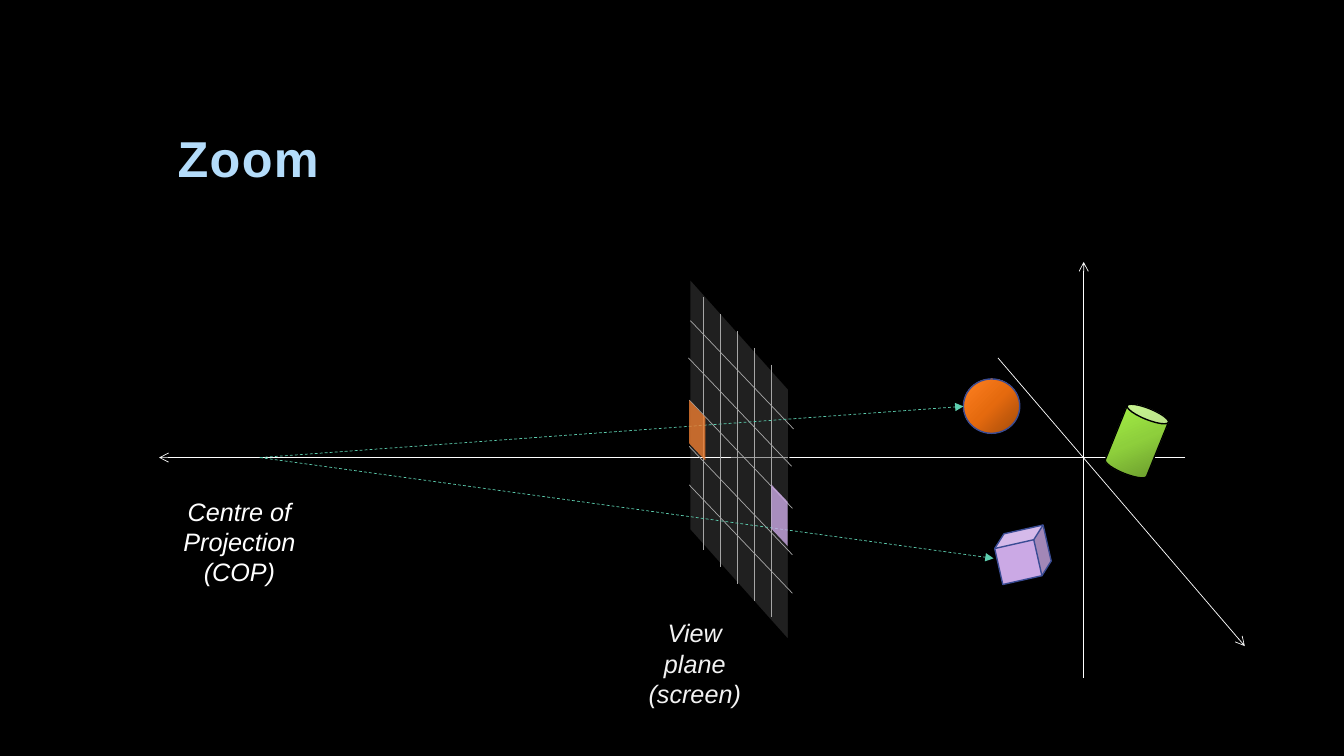
import copy
from dataclasses import dataclass
from typing import Optional

import lxml.etree
import pptx
import pptx.dml.color
import pptx.enum.dml
import pptx.enum.shapes
import pptx.enum.text
import pptx.oxml.ns
import pptx.util

Cm = pptx.util.Cm
Pt = pptx.util.Pt
qn = pptx.oxml.ns.qn
Kind = pptx.enum.shapes.MSO_SHAPE
Point = tuple[float, float]
Box = tuple[float, float, float, float]

COLORS = {
    "back": "000000", "title": "B4DCFA", "axis": "FFFFFF", "grid": "A6A6A6",
    "ray": "5DCEAF", "label": "F2F2F2", "edge": "3A4C94", "plane": "404040",
    "orange": "ED7D31", "purple": "CBA9E5",
    "ball1": "A14A0A", "ball2": "E56A0E", "ball3": "FF8021",
    "can1": "64912A", "can2": "8ECF3C", "can3": "A8F547",
}


@dataclass
class Line:
    start: Point
    end: Point
    color: str = "axis"
    head: Optional[str] = None
    dashed: bool = False


@dataclass
class Solid:
    """A preset shape; several fill names make a gradient."""
    kind: Kind
    box: Box
    fill: tuple[str, ...]
    edge: Optional[str] = None
    turn: float = 0
    flips: str = ""
    skew: Optional[float] = None
    alpha: int = 100


@dataclass
class Label:
    box: Box
    lines: tuple[str, ...]
    color: str


def rgb(name: str) -> pptx.dml.color.RGBColor:
    return pptx.dml.color.RGBColor.from_string(COLORS[name])


def draw_line(slide, line: Line) -> None:
    ends = [Cm(n) for n in line.start + line.end]
    link = slide.shapes.add_connector(pptx.enum.shapes.MSO_CONNECTOR.STRAIGHT, *ends)
    link.line.color.rgb = rgb(line.color)
    link.line.width = Pt(0.5)
    if line.dashed:
        link.line.dash_style = pptx.enum.dml.MSO_LINE.DASH
    props = link.element.spPr
    if line.head:
        lxml.etree.SubElement(props.find(qn("a:ln")), qn("a:tailEnd"), type=line.head)
    lxml.etree.SubElement(props, qn("a:effectLst"))


def shade(shape, names: tuple[str, ...]) -> None:
    """Fill with evenly spaced colours, from bottom right to top left."""
    shape.fill.gradient()
    shape.fill.gradient_angle = 135
    stops = shape.element.spPr.find(qn("a:gradFill")).find(qn("a:gsLst"))
    for _ in names[2:]:
        stops.insert(1, copy.deepcopy(stops[0]))
    for i, (stop, name) in enumerate(zip(shape.fill.gradient_stops, names)):
        stop.color.rgb = rgb(name)
        stop.position = i / (len(names) - 1)


def draw_solid(slide, solid: Solid) -> None:
    shape = slide.shapes.add_shape(solid.kind, *[Cm(n) for n in solid.box])
    shape.shadow.inherit = False
    shape.rotation = solid.turn
    props = shape.element.spPr
    for flip in solid.flips:
        props.find(qn("a:xfrm")).set("flip" + flip, "1")
    if solid.skew is not None:
        shape.adjustments[0] = solid.skew
    if len(solid.fill) > 1:
        shade(shape, solid.fill)
    else:
        shape.fill.solid()
        shape.fill.fore_color.rgb = rgb(solid.fill[0])
        if solid.alpha < 100:
            tint = props.find(qn("a:solidFill"))[0]
            lxml.etree.SubElement(tint, qn("a:alpha"), val=str(solid.alpha * 1000))
    if solid.edge:
        shape.line.color.rgb = rgb(solid.edge)
        shape.line.width = Pt(1)
    else:
        shape.line.fill.background()


def style(run, size: float, color: str) -> None:
    run.font.name = "Arial"
    run.font.size = Pt(size)
    run.font.color.rgb = rgb(color)


def draw_label(slide, label: Label) -> None:
    frame = slide.shapes.add_textbox(*[Cm(n) for n in label.box]).text_frame
    frame.word_wrap = True
    para = frame.paragraphs[0]
    para.alignment = pptx.enum.text.PP_ALIGN.CENTER
    for i, text in enumerate(label.lines):
        if i:
            para.add_line_break()
        run = para.add_run()
        run.text = text
        style(run, 18, label.color)
        run.font.italic = True


def set_title(slide, text: str) -> None:
    title = slide.shapes.title
    title.left, title.top, title.width, title.height = Cm(4.22), Cm(1.07), Cm(25.4), Cm(3.81)
    frame = title.text_frame
    frame.auto_size = pptx.enum.text.MSO_AUTO_SIZE.NONE
    frame.vertical_anchor = pptx.enum.text.MSO_ANCHOR.BOTTOM
    para = frame.paragraphs[0]
    para.alignment = pptx.enum.text.PP_ALIGN.LEFT
    para.line_spacing = 0.9
    run = para.add_run()
    run.text = text
    style(run, 36, "title")
    run.font.bold = True
    run.font.element.set("spc", "100") if hasattr(run.font, "element") else run._r.get_or_add_rPr().set("spc", "100")


MID = 11.53
EYE = (6.55, MID)
AXES = [
    Line((29.87, MID), (4.01, MID), head="arrow"),
    Line((27.31, 17.09), (27.31, 6.6), head="arrow"),
    Line((25.15, 9.02), (31.37, 16.28), head="arrow"),
]
SOLIDS = [
    Solid(Kind.OVAL, (24.28, 9.55, 1.42, 1.37), ("ball1", "ball2", "ball3"), "edge"),
    Solid(Kind.CUBE, (25.12, 13.36, 1.32, 1.24), ("purple",), "edge", 347.3),
    Solid(Kind.CAN, (28.09, 10.24, 1.12, 1.75), ("can1", "can2", "can3"), "back", 22),
]
PLANE = Solid(Kind.PARALLELOGRAM, (14.4, 9.47, 8.46, 4.22), ("plane",), "back",
              48.2, "V", 1.118, 50)
LABELS = [
    Label((3.71, 12.37, 4.65, 2.57), ("Centre of Projection (COP)",), "axis"),
    Label((15.8, 15.44, 3.42, 2.57), ("View plane", "(screen)"), "label"),
]
STEP = 0.425
COLUMNS = [
    Line((17.73 + i * STEP, 7.49 + i * STEP), (17.73 + i * STEP, 13.86 + i * STEP), "grid")
    for i in range(5)
]
ROWS = [
    Line((x, y), (x + 2.6, y + 2.73), "grid")
    for x, y in [(17.4, 8.08), (17.35, 9.02), (17.37, 10.08), (17.37, 11.25), (17.37, 12.22)]
]
RAYS = [Line(EYE, end, "ray", "triangle", True) for end in [(24.28, 10.24), (25.04, 14.07)]]
TILES = [
    Solid(Kind.PARALLELOGRAM, box, (fill,), None, 90, "HV", 1.06, 80)
    for box, fill in [((16.81, 10.64, 1.52, 0.41), "orange"),
                      ((18.87, 12.78, 1.55, 0.41), "purple")]
]


def main() -> None:
    deck = pptx.Presentation()
    deck.slide_width, deck.slide_height = Cm(33.87), Cm(19.05)
    slide = deck.slides.add_slide(deck.slide_layouts[5])
    slide.background.fill.solid()
    slide.background.fill.fore_color.rgb = rgb("back")
    set_title(slide, "Zoom")
    for axis in AXES:
        draw_line(slide, axis)
    for solid in SOLIDS + [PLANE]:
        draw_solid(slide, solid)
    for label in LABELS:
        draw_label(slide, label)
    for line in [Line((16.03, MID), (18.42, MID))] + COLUMNS + ROWS:
        draw_line(slide, line)
    for ray, tile in zip(RAYS, TILES):
        draw_line(slide, ray)
        draw_solid(slide, tile)
    deck.save("out.pptx")


if __name__ == "__main__":
    main()
